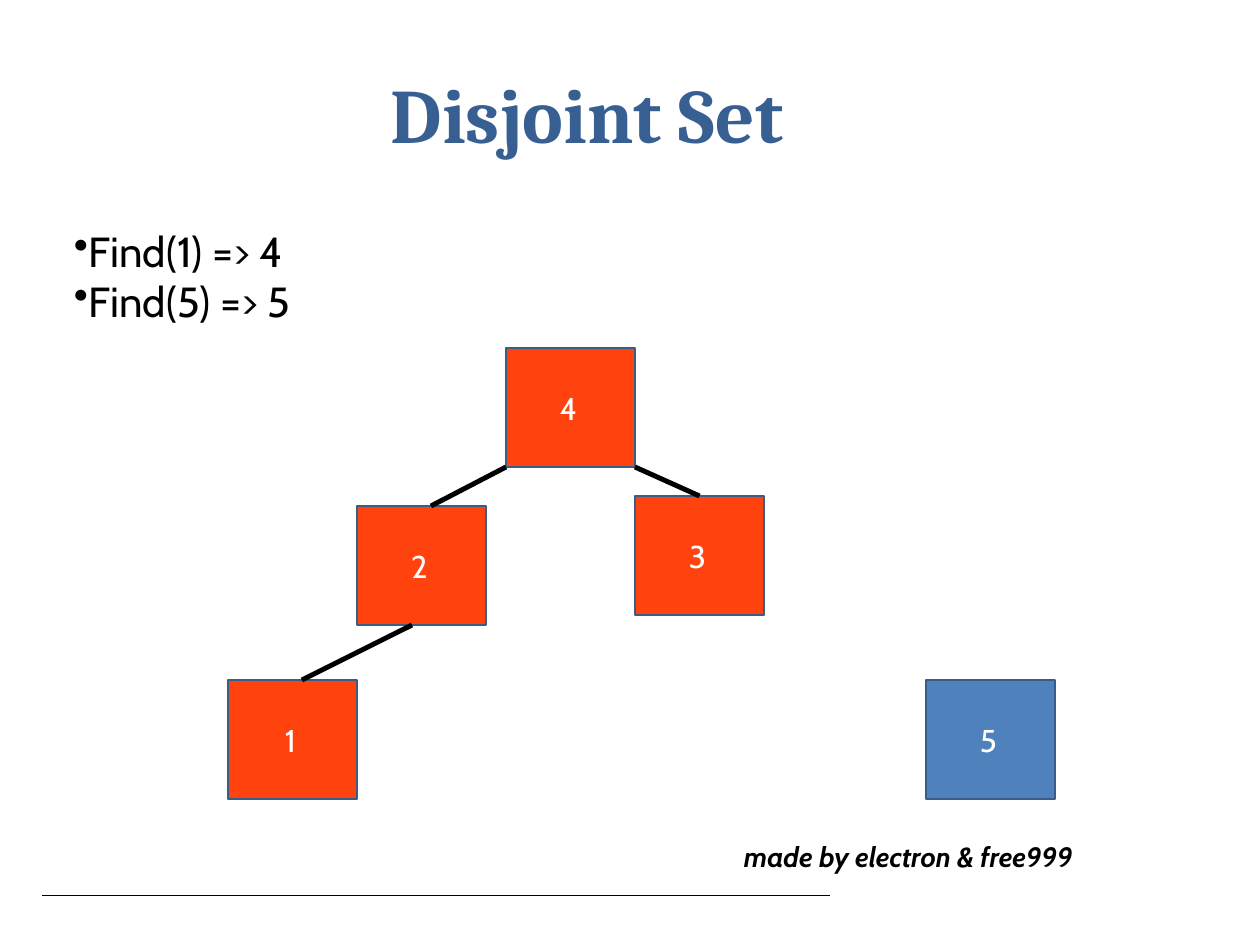
from pptx import Presentation
from pptx.dml.color import RGBColor
from pptx.enum.shapes import MSO_CONNECTOR, MSO_SHAPE
from pptx.enum.text import MSO_ANCHOR, MSO_AUTO_SIZE, PP_ALIGN
from pptx.oxml.ns import qn
from pptx.util import Emu, Pt

BLACK = RGBColor(0x00, 0x00, 0x00)
WHITE = RGBColor(0xFF, 0xFF, 0xFF)
NAVY = RGBColor(0x37, 0x5F, 0x92)
BORDER = RGBColor(0x38, 0x5D, 0x89)
ORANGE = RGBColor(0xFF, 0x42, 0x0E)
BLUE = RGBColor(0x4F, 0x81, 0xBC)

TITLE = "Disjoint Set"
RESULTS = ["Find(1) => 4", "Find(5) => 5"]
CREDIT = "made by electron & free999"
NODE_WIDTH, NODE_HEIGHT = 129, 119
NODES = {
    "1": (228, 680, ORANGE),
    "3": (635, 496, ORANGE),
    "2": (357, 506, ORANGE),
    "4": (506, 348, ORANGE),
    "5": (926, 680, BLUE),
}
EDGES = [
    ((302, 680), (412, 625), None),
    ((635, 467), (699, 496), "3"),
    ((506, 467), (431, 506), None),
]


def px(value):
    return Emu(round(value * 914400 / 126))


def place(shape, left, top, width, height):
    shape.left, shape.top = px(left), px(top)
    shape.width, shape.height = px(width), px(height)


def style(font, name, size, color, bold=False, italic=False):
    font.name, font.size, font.color.rgb = name, Pt(size), color
    font.bold, font.italic = bold, italic


def prepare(frame, anchor=MSO_ANCHOR.TOP):
    frame.margin_left = frame.margin_right = frame.margin_bottom = 0
    frame.margin_top = px(1)
    frame.word_wrap = True
    frame.auto_size = MSO_AUTO_SIZE.NONE
    frame.vertical_anchor = anchor
    return frame


def add_text(page, bounds, lines):
    box = page.shapes.add_textbox(*map(px, bounds))
    frame = prepare(box.text_frame)
    frame.text = "\n".join(lines)
    return frame


def add_line(page, start, end, width):
    line = page.shapes.add_connector(MSO_CONNECTOR.STRAIGHT, *map(px, start + end))
    line.line.color.rgb, line.line.width = BLACK, Pt(width)
    properties = line._element.spPr
    properties.append(properties.makeelement(qn("a:effectLst"), {}))
    return line


def add_node(page, label, left, top, color):
    node = page.shapes.add_shape(
        MSO_SHAPE.RECTANGLE, *map(px, (left, top, NODE_WIDTH, NODE_HEIGHT)))
    node.shadow.inherit = False
    node.fill.solid()
    node.fill.fore_color.rgb = color
    node.line.color.rgb, node.line.width = BORDER, Pt(1.5)
    frame = prepare(node.text_frame, MSO_ANCHOR.MIDDLE)
    frame.margin_right = px(4)
    frame.text = label
    paragraph = frame.paragraphs[0]
    paragraph.alignment = PP_ALIGN.CENTER
    style(paragraph.font, "Cabin", 18, WHITE)
    return node


def main():
    deck = Presentation()
    deck.slide_width, deck.slide_height = px(1260), px(945)
    page = deck.slides.add_slide(deck.slide_layouts[5])

    title = page.shapes.title
    place(title, 391, 66, 479, 160)
    frame = prepare(title.text_frame)
    frame.text = TITLE
    frame.paragraphs[0].alignment = PP_ALIGN.LEFT
    style(frame.paragraphs[0].font, "Cambria", 44, NAVY, bold=True)

    add_line(page, (42, 895), (830, 895), 0.5)

    credit = add_text(page, (744, 863, 397, 82), [CREDIT])
    credit.margin_top = 0
    credit.paragraphs[0].line_spacing = Pt(5.7)
    style(credit.paragraphs[0].font, "Cabin", 16, BLACK, bold=True, italic=True)

    for paragraph in add_text(page, (74, 224, 481, 105), RESULTS).paragraphs:
        properties = paragraph._p.get_or_add_pPr()
        properties.set("marL", "0")
        properties.set("indent", "0")
        properties.append(properties.makeelement(qn("a:buChar"), {"char": "•"}))
        style(paragraph.font, "Cabin", 24, BLACK)

    nodes = {label: add_node(page, label, *spot) for label, spot in NODES.items()}
    for start, end, child in EDGES:
        edge = add_line(page, start, end, 2.83)
        if child:
            edge.end_connect(nodes[child], 0)

    deck.save("out.pptx")


if __name__ == "__main__":
    main()
